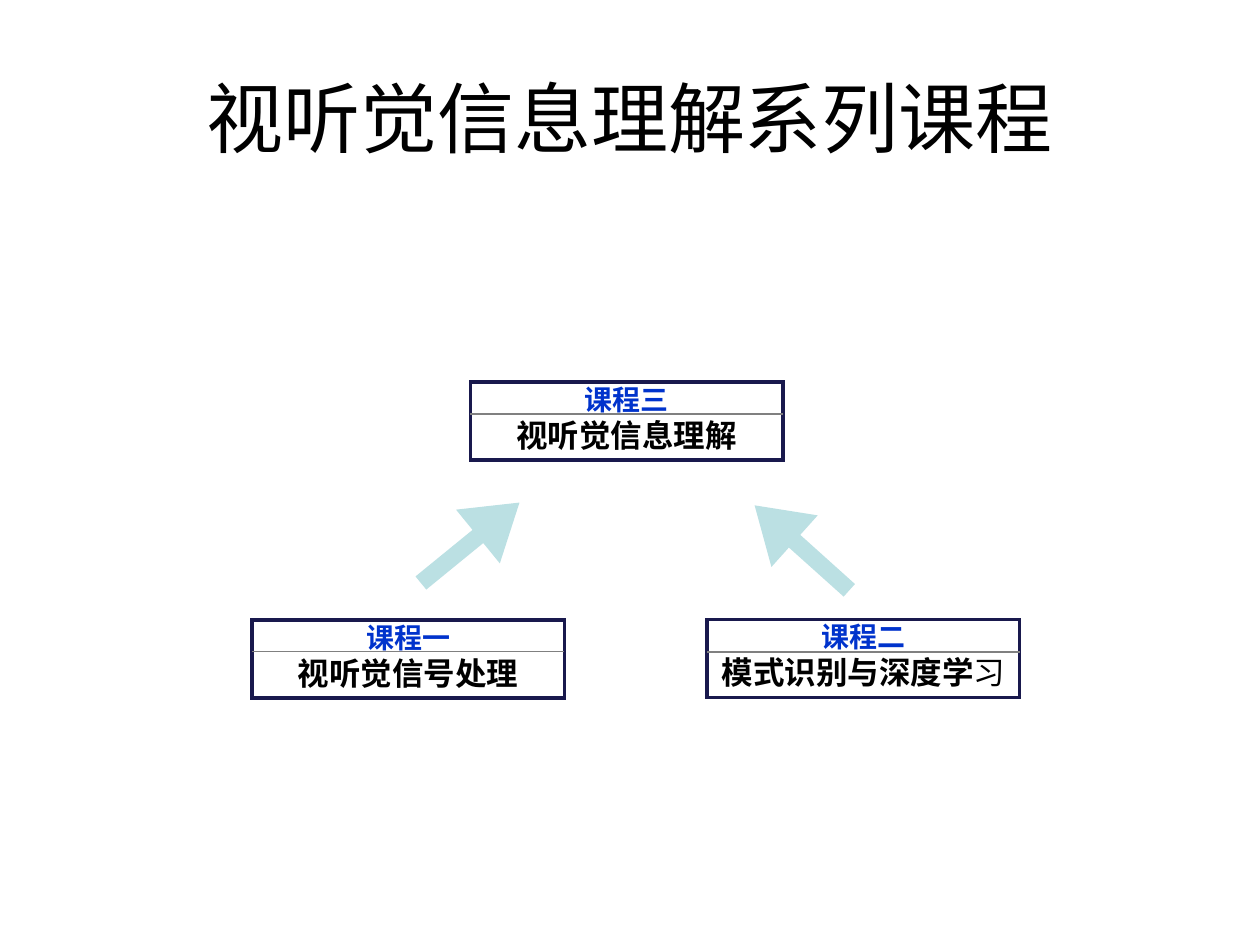
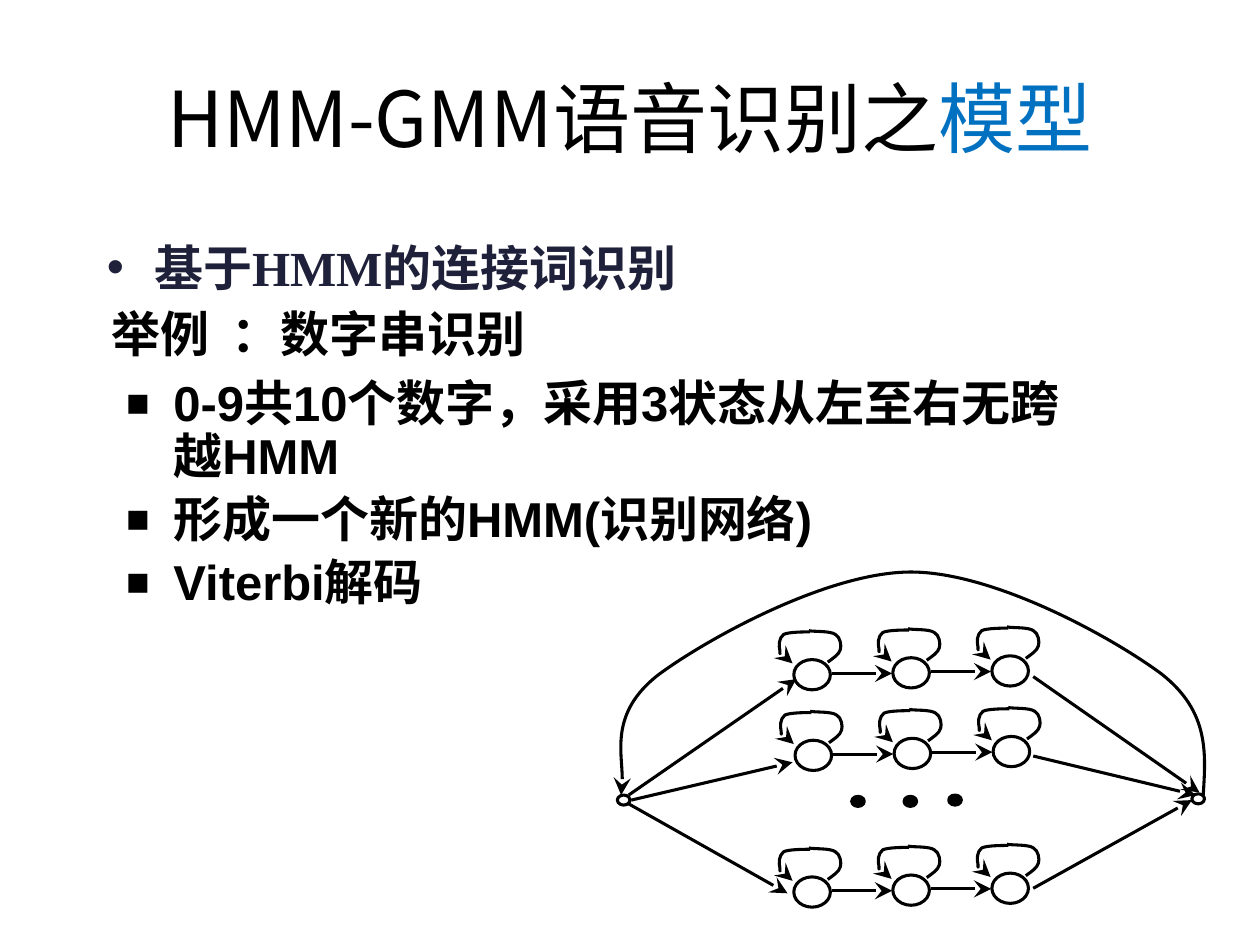
from typing import NamedTuple
from itertools import product

from lxml.etree import SubElement
from pptx import Presentation
from pptx.dml.color import RGBColor
from pptx.enum.shapes import MSO_CONNECTOR, MSO_SHAPE
from pptx.enum.text import MSO_ANCHOR, PP_ALIGN
from pptx.oxml.ns import qn
from pptx.util import Emu, Inches, Pt

HUES = {"ink": "000000", "navy": "19194D", "blue": "0033CC", "gray": "808080",
        "ice": "BBE0E3", "dusk": "1F2039", "sky": "0070C0"}
WIDE, HIGH = Inches(10), Inches(7.5)
COLS, ROWS = 100, 75
SANS, CJK, SERIF = "Arial", "Noto Sans CJK SC", "Times New Roman"
PEN = 1.75


class Run(NamedTuple):
    """A stretch of text with its own look."""
    text: str
    size: float
    hue: str = "ink"
    bold: bool = True
    font: str = SANS
    gap: float = 0


class Box(NamedTuple):
    """A place on the grid in columns and rows."""
    x: float
    y: float
    w: float
    h: float


class Course(NamedTuple):
    """A course card and the height of its rule."""
    x: float
    y: float
    rule: float
    head: str
    name: list[Run]


class Link(NamedTuple):
    """A straight arrow between two grid points."""
    x: float
    y: float
    to_x: float
    to_y: float


COURSES = [
    Course(20, 49.2, 2.5, "课程一", [Run("视听觉信号处理", 18, font=CJK)]),
    Course(56.12, 49.15, 2.62, "课程二", [Run("模式识别与深度学", 18, font=CJK),
                                       Run("习", 18, bold=False, font=CJK)]),
    Course(37.34, 30.3, 2.55, "课程三", [Run("视听觉信息理解", 18, font=CJK)]),
]
CHAINS = [(63, 52.35), (63.1, 58.75), (63, 69.6)]
STEP_X, STEP_Y = 7.86, -0.15
DOTS = [Box(67.6, 63.2, 1, 0.8), Box(71.75, 63.2, 1, 0.8), Box(75.3, 63.1, 1, 0.8)]
ENDS = [Box(49, 63.1, 1, 0.8), Box(94.6, 63, 1, 0.8)]
LINKS = [
    Link(49.9, 63.1, 63.2, 53.9), Link(50.1, 63.5, 62.9, 60.5),
    Link(49.9, 63.8, 62.5, 70.9), Link(82, 53.7, 95.2, 62.9),
    Link(82, 60, 94.9, 63.1), Link(82, 70.5, 94.6, 63.5),
]
RIGHT = [(2.7, 0.2), (3.1, -0.1), (3.6, -0.4), (3.7, -0.8), (3.8, -1.1),
         (3.7, -1.8), (3.3, -2), (2.9, -2.3), (1.6, -2.2), (1.2, -2.3)]
LEFT = [(1.3, -2.2), (0.9, -2.2), (-0.4, -2.2), (-0.8, -2), (-1.2, -1.7),
        (-1.2, -1.1), (-1.1, -0.7), (-1.1, -0.3), (-0.6, 0), (-0.1, 0.3)]
ARC = [(95.5, 63.1), (95.7, 59.8), (96, 56.5), (92.2, 53.5), (88.3, 50.6),
       (78.9, 45.4), (72.3, 45.4), (65.7, 45.4), (56.1, 50.7), (52.2, 53.6),
       (48.4, 56.6), (49.7, 61.5), (49.3, 63.1)]


def col(n: float) -> Emu:
    """Width of n columns."""
    return Emu(round(WIDE * n / COLS))


def row(n: float) -> Emu:
    """Height of n rows."""
    return Emu(round(HIGH * n / ROWS))


def place(box: Box) -> tuple[Emu, Emu, Emu, Emu]:
    """Turn a grid box into lengths."""
    return col(box.x), row(box.y), col(box.w), row(box.h)


def paint(hue: str) -> RGBColor:
    """Look up a colour."""
    return RGBColor.from_string(HUES[hue])


def ink(line, hue: str, width: float, tip: bool = False) -> None:
    """Style a line, with a large stealth tip if asked."""
    line.color.rgb = paint(hue)
    line.width = Pt(width)
    if tip:
        SubElement(line._get_or_add_ln(), qn("a:tailEnd"), type="stealth",
                   w="lg", len="lg")


def form(page, kind, box: Box, fill: str = "", edge: str = "", width: float = PEN):
    """Draw a preset shape."""
    shape = page.shapes.add_shape(kind, *place(box))
    shape.shadow.inherit = False
    if fill:
        shape.fill.solid()
        shape.fill.fore_color.rgb = paint(fill)
    else:
        shape.fill.background()
    if edge:
        ink(shape.line, edge, width)
    else:
        shape.line.fill.background()
    return shape


def line(page, link: Link, hue: str = "ink", width: float = PEN, tip: bool = True) -> None:
    """Draw a straight line."""
    wire = page.shapes.add_connector(MSO_CONNECTOR.STRAIGHT, col(link.x), row(link.y),
                                     col(link.to_x), row(link.to_y))
    ink(wire.line, hue, width, tip)
    SubElement(wire._element.spPr, qn("a:effectLst"))


def curve(page, knots: list[tuple[float, float]], tip: bool = False) -> None:
    """Draw a chain of cubic curves through the knots."""
    ends = [(col(x), row(y)) for x, y in knots]
    pen = page.shapes.build_freeform(*ends[0])
    pen.add_line_segments(ends[1:], close=False)
    shape = pen.convert_to_shape()
    route = next(shape._element.iter(qn("a:path")))
    steps = route.findall(qn("a:lnTo"))
    for i in range(0, len(steps), 3):
        bend = SubElement(route, qn("a:cubicBezTo"))
        for step in steps[i:i + 3]:
            bend.append(step[0])
            route.remove(step)
    shape.shadow.inherit = False
    shape.fill.background()
    ink(shape.line, "ink", PEN, tip)


def write(shape, paras: list[list[Run]], *, align=PP_ALIGN.LEFT, anchor=MSO_ANCHOR.TOP,
          inset: tuple[float, float] = (0.5, 0.5), mark: str = "", scale: int = 100,
          lead: float = 1, before: float = 0) -> None:
    """Fill a shape with formatted paragraphs."""
    frame = shape.text_frame
    frame.word_wrap = True
    frame.vertical_anchor = anchor
    frame.margin_left = frame.margin_right = col(1)
    frame.margin_top, frame.margin_bottom = map(row, inset)
    for i, runs in enumerate(paras):
        para = frame.add_paragraph() if i else frame.paragraphs[0]
        para.alignment = align
        para.line_spacing = lead
        para.space_before = Pt(before)
        if mark:
            prop = para._p.get_or_add_pPr()
            prop.set("marL", str(col(3.75)))
            prop.set("indent", str(-col(3.75)))
            SubElement(prop, qn("a:buSzPct"), val=str(scale * 1000))
            SubElement(prop, qn("a:buFont"), typeface=SANS)
            SubElement(prop, qn("a:buChar"), char=mark)
        for part in runs:
            run = para.add_run()
            run.text = part.text
            run.font.size = Pt(part.size)
            run.font.bold = part.bold
            run.font.color.rgb = paint(part.hue)
            run.font.name = part.font
            SubElement(run.font._element, qn("a:ea"), typeface=CJK)
            if part.gap:
                run.font._element.set("spc", str(round(part.gap * 100)))


def label(page, box: Box, paras: list[list[Run]], **style) -> None:
    """Add a text box."""
    write(page.shapes.add_textbox(*place(box)), paras, **style)


def title(page, *parts: tuple[str, str]) -> None:
    """Add the slide title."""
    runs = [Run(text, 44, hue, False, CJK) for text, hue in parts]
    label(page, Box(5, 3, 90, 12.5), [runs], align=PP_ALIGN.CENTER,
          anchor=MSO_ANCHOR.MIDDLE)


def card(page, item: Course) -> None:
    """Draw a course card."""
    box = Box(item.x, item.y, 24.8, 6.2)
    shape = form(page, MSO_SHAPE.RECTANGLE, box, edge="navy", width=2)
    SubElement(shape.line._get_or_add_ln(), qn("a:miter"), lim="800000")
    write(shape, [[Run(item.head, 16, "blue", font=CJK)], item.name],
          align=PP_ALIGN.CENTER, anchor=MSO_ANCHOR.MIDDLE, inset=(0, 0.5))
    y = item.y + item.rule
    line(page, Link(box.x, y, box.x + box.w, y), "gray", 1, False)


def state(page, x: float, y: float, last: bool) -> None:
    """Draw a model state with its loop and its way on."""
    form(page, MSO_SHAPE.OVAL, Box(x, y, 2.9, 2.4), edge="ink")
    for knots, tip in ((RIGHT, False), (LEFT, True)):
        curve(page, [(x + dx, y + dy) for dx, dy in knots], tip)
    if not last:
        line(page, Link(x + 3, y + 1.1, x + 7.8, y + 1.1))


def series(page) -> None:
    """Build the course overview."""
    title(page, ("视听觉信息理解系列课程", "ink"))
    for item in COURSES:
        card(page, item)
    for x, y, turn in ((32.27, 40.33, 320.8), (58.6, 40.73, 221.9)):
        arrow = form(page, MSO_SHAPE.RIGHT_ARROW, Box(x, y, 10.1, 5.5), fill="ice")
        arrow.rotation = turn
        arrow.adjustments[0], arrow.adjustments[1] = 0.245, 0.774


def model(page) -> None:
    """Build the speech model slide."""
    title(page, ("HMM-GMM语音识别之", "ink"), ("模型", "sky"))
    label(page, Box(7.5, 18.35, 85, 6.6),
          [[Run("基于HMM的连接词识别", 28, "dusk", font=SERIF)]], mark="•", before=5.6)
    label(page, Box(7.9, 24.1, 38, 5.2),
          [[Run("举例", 28), Run(" ", 28, gap=6.2), Run("：数字串识别", 28)]],
          lead=0.9, before=5.6)
    facts = ("0-9共10个数字，采用3状态从左至右无跨越HMM", "形成一个新的HMM(识别网络)",
             "Viterbi解码")
    label(page, Box(9.03, 29.63, 78.8, 19.9), [[Run(fact, 28)] for fact in facts],
          mark="■", scale=80, lead=0.9, before=5.6)
    for (x, y), n in product(CHAINS, range(3)):
        state(page, x + n * STEP_X, y + n * STEP_Y, n == 2)
    for box in DOTS:
        form(page, MSO_SHAPE.OVAL, box, fill="ink", edge="ink")
    for box in ENDS:
        form(page, MSO_SHAPE.OVAL, box, edge="ink")
    for link in LINKS:
        line(page, link)
    curve(page, ARC, True)


def main() -> None:
    """Build and save the deck."""
    deck = Presentation()
    deck.slide_width, deck.slide_height = WIDE, HIGH
    for build in (series, model):
        build(deck.slides.add_slide(deck.slide_layouts[6]))
    deck.save("out.pptx")


if __name__ == "__main__":
    main()
